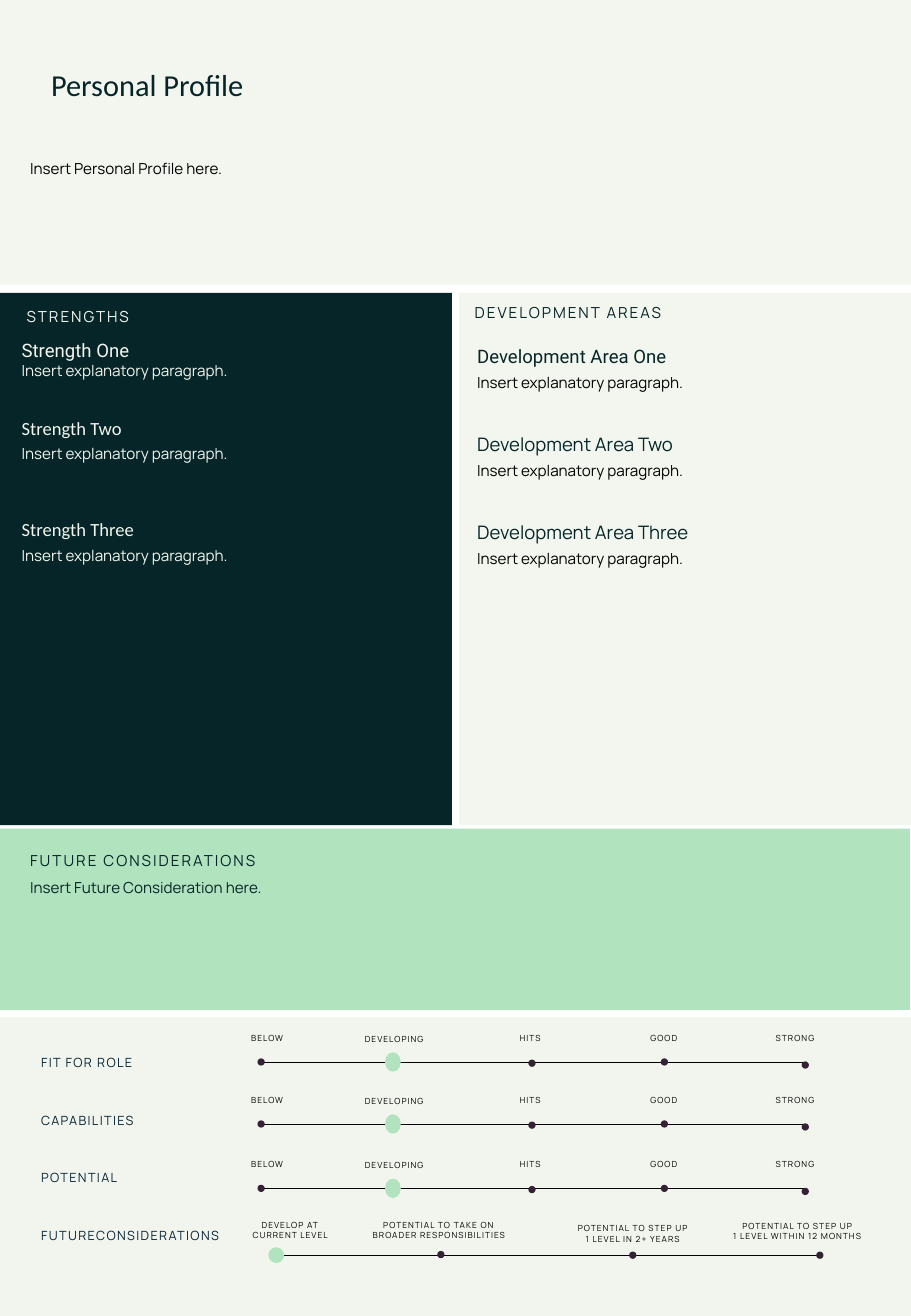
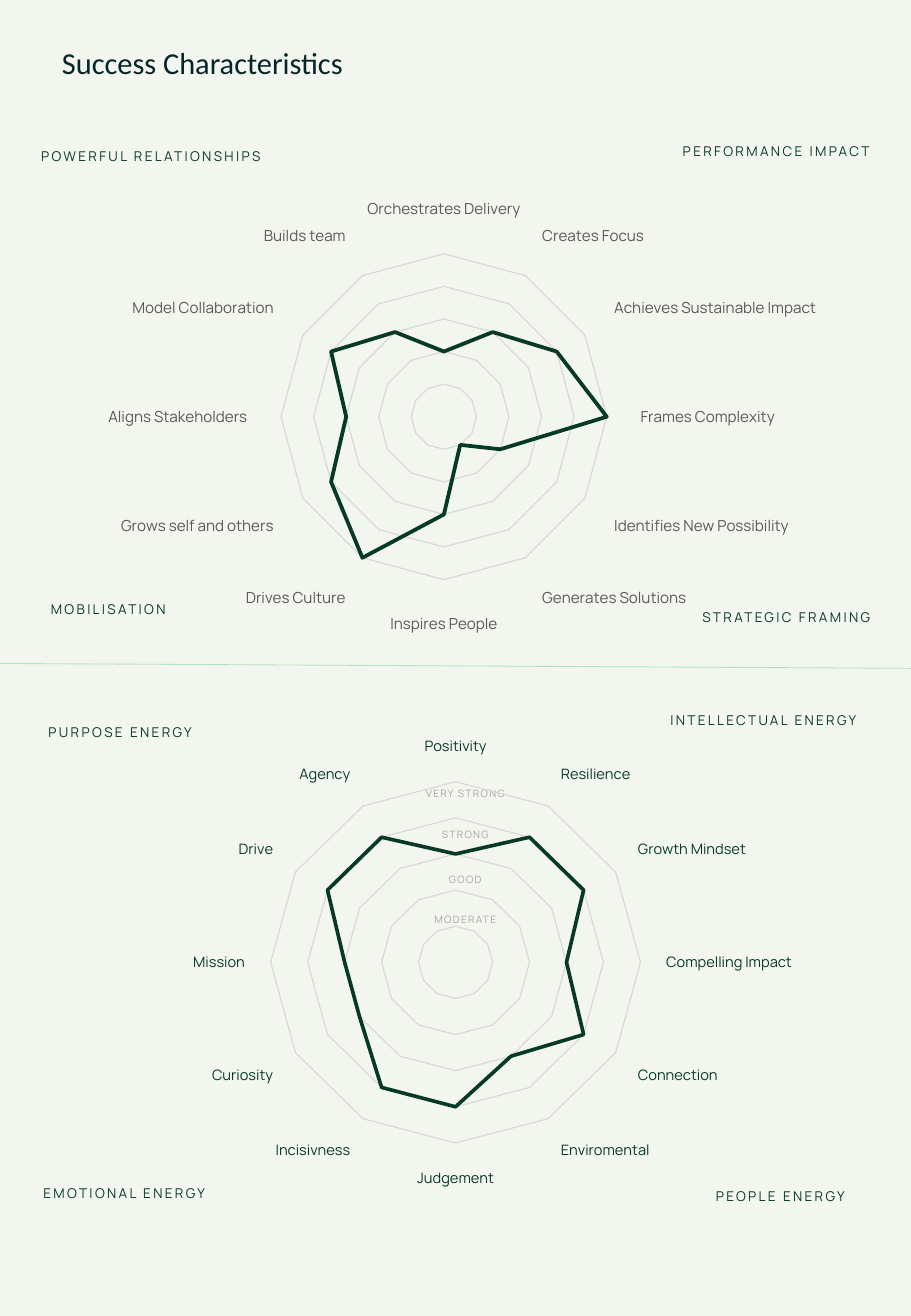
from dataclasses import dataclass

from lxml import etree
from pptx import Presentation
from pptx import util as u
from pptx.chart.data import CategoryChartData
from pptx.dml.color import RGBColor
from pptx.enum import chart as charts, shapes, text
from pptx.oxml import parse_xml
from pptx.oxml.ns import nsdecls, qn

WIDTH, HEIGHT = u.Inches(7.5), u.Inches(10.83)
COLUMNS, ROWS = 75, 108.3
COLUMN, ROW = WIDTH / COLUMNS, HEIGHT / ROWS

COLORS = {
    "paper": "F3F6EE", "scale_paper": "F2F5ED", "night": "052528", "mint": "B0E3BE",
    "forest": "073929", "navy": "072538", "plum": "362237", "black": "000000",
    "grey": "595959", "pale_grey": "A6A6A6", "grid": "D9D9D9",
}
STYLES = {
    "title": {"size": 18, "name": "Calibri", "color": "night"},
    "body": {"size": 9, "name": "Manrope", "color": "black"},
    "body_night": {"size": 9, "name": "Manrope", "color": "night"},
    "body_light": {"size": 9, "name": "Manrope", "color": "paper"},
    "band": {"size": 9, "name": "Manrope", "color": "night", "spacing": 1.2},
    "band_light": {"size": 9, "name": "Manrope", "color": "paper", "spacing": 1.2},
    "strength_first": {"size": 11, "name": "Roboto", "color": "paper"},
    "strength": {"size": 11, "name": "Calibri", "color": "paper"},
    "area_first": {"size": 11, "name": "Roboto", "color": "night"},
    "area": {"size": 11, "name": "Manrope", "color": "night"},
    "scale": {"size": 7.5, "name": "Manrope", "color": "navy", "spacing": 0.8},
    "stop": {"size": 5, "name": "Manrope", "color": "black", "spacing": 0.6},
    "corner": {"size": 8, "name": "Manrope", "color": "forest", "spacing": 1.4},
    "ring": {"size": 6, "name": "Manrope", "color": "pale_grey", "spacing": 0.8},
}
ALIGN = text.PP_ALIGN
RATINGS = [
    ("BELOW", 22, 10.5, 0, 21.5, 0), ("DEVELOPING", 32.45, 10.5, 0.1, 32.35, 0),
    ("HITS", 43.65, 10.5, 0, 43.8, 0.1), ("GOOD", 54.65, 10.5, 0, 54.7, 0),
    ("STRONG", 65.45, 10.5, 0, 66.3, 0.25),
]
HORIZONS = [
    ("DEVELOP AT CURRENT LEVEL", 23.9, 8.4, -0.5, 22.75, 0),
    ("POTENTIAL TO TAKE ON BROADER RESPONSIBILITIES", 36.15, 14.7, -0.5, 36.3, -0.05),
    ("POTENTIAL TO STEP UP\n1 LEVEL IN 2+ YEARS", 52.1, 14.6, -0.2, 52.1, 0),
    ("POTENTIAL TO STEP UP\n1 LEVEL WITHIN 12 MONTHS", 65.65, 16.7, -0.4, 67.5, 0),
]


@dataclass
class Box:
    """A rectangle counted in grid columns and rows."""
    left: float
    top: float
    width: float
    height: float

    def inside(self, left, top, width, height):
        """Return a box placed relative to this one."""
        return Box(self.left + left, self.top + top, width, height)

    def emu(self):
        """Return left, top, width and height as slide lengths."""
        return (u.Emu(round(self.left * COLUMN)), u.Emu(round(self.top * ROW)),
                u.Emu(round(self.width * COLUMN)), u.Emu(round(self.height * ROW)))


def rgb(color):
    """Return the named colour."""
    return RGBColor.from_string(COLORS[color])


def set_font(font, size, name, color):
    """Apply size, typeface and colour to a font."""
    for key, value in {"size": u.Pt(size), "name": name, "bold": False}.items():
        setattr(font, key, value)
    font.color.rgb = rgb(color)


def write(frame, lines, align=ALIGN.LEFT):
    """Fill a text frame with (text, style, paragraph format) lines."""
    for key, value in {"word_wrap": True, "auto_size": text.MSO_AUTO_SIZE.NONE,
                       "vertical_anchor": text.MSO_ANCHOR.TOP}.items():
        setattr(frame, key, value)
    for index, (words, style, layout) in enumerate(lines):
        paragraph = frame.add_paragraph() if index else frame.paragraphs[0]
        for key, value in {"alignment": align, **layout}.items():
            setattr(paragraph, key, value)
        run = paragraph.add_run()
        run.text = words
        look = dict(STYLES[style])
        spacing = look.pop("spacing", 0)
        set_font(run.font, **look)
        if spacing:
            run.font._element.set("spc", str(round(spacing * 100)))


def add_text(holder, box, words, style, align=ALIGN.LEFT):
    """Add a text box in one style, one paragraph per line."""
    frame = holder.add_textbox(*box.emu()).text_frame
    write(frame, [(line, style, {}) for line in words.split("\n")], align)


def add_title(slide, box, words):
    """Move, fill and raise the title placeholder."""
    title = slide.shapes.title
    for key, value in zip(("left", "top", "width", "height"), box.emu()):
        setattr(title, key, value)
    write(title.text_frame, [(words, "title", {})])
    title.element.getparent().append(title.element)


def add_filled(holder, kind, box, color):
    """Add a plain filled shape without outline."""
    shape = holder.add_shape(kind, *box.emu())
    shape.shadow.inherit = False
    shape.fill.solid()
    shape.fill.fore_color.rgb = rgb(color)
    shape.line.fill.background()


def add_line(holder, start, end, color):
    """Add a thin straight line between two grid points."""
    x1, y1, x2, y2 = Box(*start, *end).emu()
    line = holder.add_connector(shapes.MSO_CONNECTOR.STRAIGHT, x1, y1, x2, y2)
    line.line.color.rgb = rgb(color)
    line.line.width = u.Pt(0.5)
    etree.SubElement(line.element.spPr, qn("a:effectLst"))


def add_band(slide, box, color):
    """Add a background panel."""
    add_filled(slide.shapes, shapes.MSO_SHAPE.RECTANGLE, box, color)


def add_entries(slide, box, names, styles, body_style, gaps, first_body):
    """Add headings, each with an explanatory paragraph below."""
    lines = []
    for index, (name, style, gap) in enumerate(zip(names, styles, gaps)):
        heading = {"space_before": u.Pt(gap)}
        if style == "area":
            heading["line_spacing"] = u.Pt(13.1)
        body = {"space_before": u.Pt(1), "line_spacing": u.Pt(13.1)}
        lines += [(name, style, heading if index else {}),
                  ("Insert explanatory paragraph.", body_style, body if index else first_body)]
    write(slide.shapes.add_textbox(*box.emu()).text_frame, lines)


def add_scale(slide, box, stops, chosen, marker_height):
    """Add a rating line with labelled stops and a marker on the chosen one."""
    group = slide.shapes.add_group_shape().shapes
    axis = 2.9
    ends = [box.left + stops[i][4] - 0.1 for i in (0, -1)]
    add_line(group, (ends[0], box.top + axis), (ends[1], box.top + axis), "black")
    for index, (words, center, width, drop, dot, dip) in enumerate(stops):
        add_text(group, box.inside(center - width / 2, drop, width, 2.7), words, "stop", ALIGN.CENTER)
        wide, high, color = (1.3, marker_height, "mint") if index == chosen else (0.6, 0.6, "plum")
        spot = box.inside(dot - wide / 2, axis + dip - high / 2, wide, high)
        add_filled(group, shapes.MSO_SHAPE.OVAL, spot, color)


def add_scales(slide, box):
    """Add the rating panel with its four scales."""
    add_band(slide, box, "scale_paper")
    names = ["FIT FOR ROLE", "CAPABILITIES", "POTENTIAL", "FUTURECONSIDERATIONS"]
    for index, (name, top) in enumerate(zip(names, [0.8, 5.9, 11.2, 16.7])):
        add_text(slide.shapes, box.inside(2.4, 2.6 + 4.75 * index, 18.4, 2.3), name, "scale")
        last = name == names[-1]
        add_scale(slide, box.inside(0, top, COLUMNS, 4), HORIZONS if last else RATINGS,
                  0 if last else 1, 1.3 if last else 1.6)


def style_axes(chart, label_color, maximum, step):
    """Format the category labels and the hidden value scale."""
    category, value = chart.category_axis, chart.value_axis
    category.has_major_gridlines = False
    category.major_tick_mark = charts.XL_TICK_MARK.NONE
    set_font(category.tick_labels.font, 9, "Manrope", label_color)
    for key, setting in {"visible": False, "has_major_gridlines": True, "minimum_scale": 0,
                         "maximum_scale": maximum, "major_unit": step}.items():
        setattr(value, key, setting)
    for line in (category.format.line, value.major_gridlines.format.line):
        line.color.rgb = rgb("grid")
        line.width = u.Pt(0.75)


def add_radar(slide, box, points, label_color, maximum, step, empty_first=False, inner=None):
    """Add a radar chart of name and value points."""
    data = CategoryChartData()
    data.categories = list(points)
    series_values = [[None] * len(points)] if empty_first else []
    series_values.append(list(points.values()))
    for number, values in enumerate(series_values, 1):
        data.add_series(f"Series {number}", values)
    chart = slide.shapes.add_chart(charts.XL_CHART_TYPE.RADAR, *box.emu(), data).chart
    chart.has_title = chart.has_legend = False
    set_font(chart.font, 10, "Calibri", "black")
    style_axes(chart, label_color, maximum, step)
    chart.plots[0].vary_by_categories = False
    for series in chart.plots[0].series:
        series.smooth = False
        series.marker.style = charts.XL_MARKER_STYLE.NONE
        series.format.line.color.rgb = rgb("forest")
        series.format.line.width = u.Pt(2.25)
    if inner:
        modes = '<c:layoutTarget val="inner"/><c:xMode val="edge"/><c:yMode val="edge"/>'
        sizes = "".join(f'<c:{key} val="{share}"/>' for key, share in zip("xywh", inner))
        layout = parse_xml(f'<c:layout {nsdecls("c")}><c:manualLayout>{modes}{sizes}'
                           "</c:manualLayout></c:layout>")
        plot_area = chart.element.find(".//" + qn("c:plotArea"))
        for old in plot_area.findall(qn("c:layout")):
            plot_area.remove(old)
        plot_area.insert(0, layout)


def add_corners(slide, box, corners):
    """Add the quadrant names around a radar chart."""
    for words, left, top, width, align in corners:
        add_text(slide.shapes, box.inside(left, top, width, 4.5), words, "corner", align)


def build_profile(slide):
    """Build the personal profile slide."""
    profile = Box(0, 0, COLUMNS, 23.4)
    strengths = Box(0, 24.1, 37.2, 43.8)
    areas = Box(37.8, 24.1, 37.2, 43.8)
    future = Box(0, 68.2, 74.9, 14.9)
    for box, color in ((profile, "paper"), (strengths, "night"), (areas, "paper"), (future, "mint")):
        add_band(slide, box, color)
    add_title(slide, profile.inside(3.2, 4.9, 50.7, 4), "Personal Profile")
    for box, words, style in (
            (profile.inside(1.5, 12.6, 73, 2.5), "Insert Personal Profile here.", "body"),
            (strengths.inside(1.2, 0.7, 22.9, 2.5), "STRENGTHS", "band_light"),
            (areas.inside(0.3, 0.4, 22.9, 2.5), "DEVELOPMENT AREAS", "band"),
            (future.inside(1.5, 1.4, 28, 2.5), "FUTURE CONSIDERATIONS", "band"),
            (future.inside(1.5, 3.6, 68.8, 2.5), "Insert Future Consideration here.", "body_night")):
        add_text(slide.shapes, box, words, style)
    numbers = ["One", "Two", "Three"]
    add_entries(slide, strengths.inside(0.8, 3.3, 36, 25.8), [f"Strength {n}" for n in numbers],
                ["strength_first", "strength", "strength"], "body_light", [0, 22, 33], {})
    add_entries(slide, areas.inside(0.5, 3.8, 36.3, 25.9), [f"Development Area {n}" for n in numbers],
                ["area_first", "area", "area"], "body", [0, 25, 25],
                {"space_before": u.Pt(1), "line_spacing": u.Pt(13.1)})
    add_scales(slide, Box(0, 83.7, COLUMNS, 24.6))


def build_characteristics(slide):
    """Build the success characteristics slide."""
    slide.background.fill.solid()
    slide.background.fill.fore_color.rgb = rgb("paper")
    add_title(slide, Box(4.1, 3.1, 50.7, 4), "Success Characteristics")
    success, energy = Box(0, 11, COLUMNS, 43.6), Box(0, 58, COLUMNS, 45)
    add_corners(slide, success, [
        ("POWERFUL RELATIONSHIPS", 2.4, 0.7, 25.5, ALIGN.LEFT),
        ("PERFORMANCE IMPACT", 45.1, 0.3, 27.5, ALIGN.RIGHT),
        ("MOBILISATION", 3.2, 38, 26.3, ALIGN.LEFT),
        ("STRATEGIC FRAMING", 52.9, 38.6, 23.7, ALIGN.CENTER)])
    add_corners(slide, energy, [
        ("PURPOSE ENERGY", 3, 1.1, 25.5, ALIGN.LEFT),
        ("INTELLECTUAL ENERGY", 44, 0.1, 27.5, ALIGN.RIGHT),
        ("EMOTIONAL ENERGY", 2.6, 39, 26.3, ALIGN.LEFT),
        ("PEOPLE ENERGY", 52.4, 39.3, 23.7, ALIGN.CENTER)])
    for words, top in (("VERY STRONG", 6.3), ("STRONG", 9.7), ("GOOD", 13.4), ("MODERATE", 16.7)):
        add_text(slide.shapes, energy.inside(33.4, top, 9.8, 2), words, "ring", ALIGN.CENTER)
    add_radar(slide, energy.inside(13.3, 2.6, 51.9, 37.2), {
        "Positivity": 75, "Resilience": 100, "Growth Mindset": 100, "Compelling Impact": 75,
        "Connection": 100, "Enviromental": 75, "Judgement": 100, "Incisivness": 100,
        "Curiosity": 75, "Mission": 75, "Drive": 100, "Agency": 100,
    }, "forest", 125, 25, inner=(0.18, 0.07, 0.61, 0.89))
    add_radar(slide, success.inside(7.7, 1.5, 60.7, 43.6), {
        "Orchestrates Delivery": 40, "Creates Focus": 60, "Achieves Sustainable Impact": 80,
        "Frames Complexity": 100, "Identifies New Possibility": 40, "Generates Solutions": 20,
        "Inspires People": 60, "Drives Culture": 100, "Grows self and others": 80,
        "Aligns Stakeholders": 60, "Model Collaboration": 80, "Builds team": 60,
    }, "grey", 100, 20, empty_first=True)
    add_line(slide.shapes, (0, 54.6), (COLUMNS, 55), "mint")


def main():
    """Build both slides and save the file."""
    presentation = Presentation()
    presentation.slide_width, presentation.slide_height = WIDTH, HEIGHT
    for build in (build_profile, build_characteristics):
        build(presentation.slides.add_slide(presentation.slide_layouts[5]))
    presentation.save("out.pptx")


if __name__ == "__main__":
    main()
